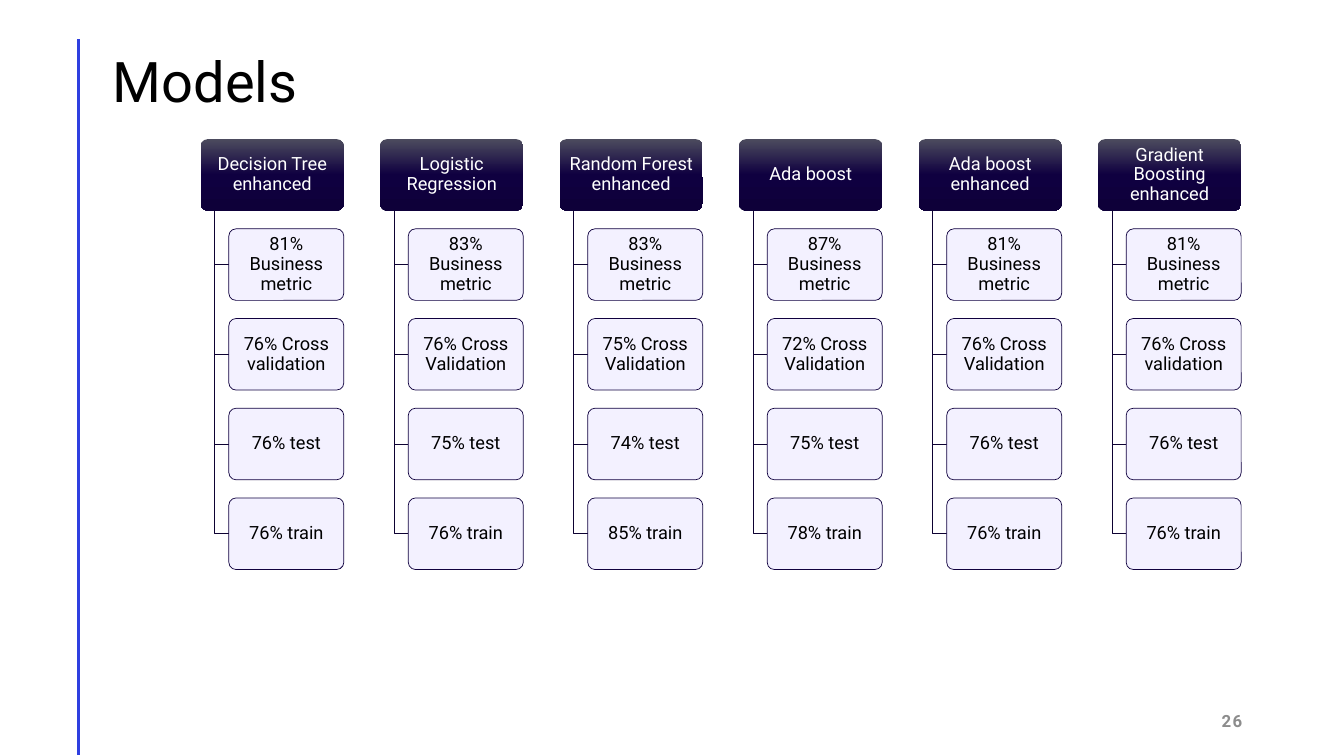
from copy import deepcopy
from lxml.etree import SubElement
from pptx import Presentation
from pptx.dml.color import RGBColor
from pptx.enum.shapes import MSO_CONNECTOR as Connector, MSO_SHAPE as Preset
from pptx.enum.text import MSO_ANCHOR as Anchor, PP_ALIGN as Align
from pptx.oxml.ns import qn
from pptx.util import Inches, Pt

TITLE = "Models"
PAGE_NUMBER = "26"
MODELS = [
    ("Decision Tree enhanced",
     ["81% Business metric", "76% Cross validation", "76% test", "76% train"]),
    ("Logistic Regression",
     ["83% Business metric", "76% Cross Validation", "75% test", "76% train"]),
    ("Random Forest enhanced",
     ["83% Business metric", "75% Cross Validation", "74% test", "85% train"]),
    ("Ada boost",
     ["87% Business metric", "72% Cross Validation", "75% test", "78% train"]),
    ("Ada boost enhanced",
     ["81% Business metric", "76% Cross Validation", "76% test", "76% train"]),
    ("Gradient Boosting enhanced",
     ["81% Business metric", "76% Cross validation", "76% test", "76% train"]),
]
HEADER_STOPS = [(0, "4C4B5E"), (0.5, "0F0040"), (1, "0E0039")]

LEFT, TOP = 1.99, 1.38
COLUMN_STEP, ROW_STEP = 1.78, 0.89
HEADER_WIDTH, BOX_HEIGHT = 1.42, 0.71
TRUNK_INSET, METRIC_INSET = 0.14, 0.28


def color(value):
    return RGBColor.from_string(value)


def write(shape, text, size=13, ink="000000", bold=False, align=Align.CENTER,
          anchor=Anchor.MIDDLE, leading=0.9, margins=(0.03, 0.02), tracking=0):
    frame = shape.text_frame
    frame.word_wrap = True
    frame.vertical_anchor = anchor
    frame.margin_left = frame.margin_right = Inches(margins[0])
    frame.margin_top = frame.margin_bottom = Inches(margins[1])
    para = frame.paragraphs[0]
    para.alignment = align
    para.line_spacing = leading
    span = para.add_run()
    span.text = text
    span.font.name = "Roboto"
    span.font.size = Pt(size)
    span.font.bold = bold
    span.font.color.rgb = color(ink)
    if tracking:
        span.font._element.set("spc", str(tracking * 100))


def add_text(page, text, left, top, width, height, **style):
    box = page.shapes.add_textbox(*map(Inches, (left, top, width, height)))
    write(box, text, margins=(0.1, 0.05), **style)


def add_box(page, left, top, width):
    box = page.shapes.add_shape(
        Preset.ROUNDED_RECTANGLE, *map(Inches, (left, top, width, BOX_HEIGHT)))
    box.adjustments[0] = 0.1
    box.shadow.inherit = False
    return box


def add_header(page, text, left):
    box = add_box(page, left, TOP, HEADER_WIDTH)
    box.line.fill.background()
    box.fill.gradient()
    box.fill.gradient_angle = 270
    stop_list = box._element.spPr.find(qn("a:gradFill")).find(qn("a:gsLst"))
    stop_list.append(deepcopy(stop_list[0]))
    for stop, (position, value) in zip(box.fill.gradient_stops, HEADER_STOPS):
        stop.position = position
        stop.color.rgb = color(value)
    write(box, text, ink="FFFFFF")


def add_metric(page, text, left, top):
    box = add_box(page, left, top, HEADER_WIDTH - METRIC_INSET)
    box.fill.solid()
    box.fill.fore_color.rgb = color("F2F0FF")
    fill = box._element.spPr.find(qn("a:solidFill"))
    SubElement(fill[0], qn("a:alpha"), val="90000")
    box.line.color.rgb = color("10013F")
    box.line.width = Pt(0.5)
    write(box, text)


def add_elbow(page, trunk, start, branch, end):
    outline = page.shapes.build_freeform(Inches(trunk), Inches(start))
    outline.add_line_segments(
        [(Inches(trunk), Inches(branch)), (Inches(end), Inches(branch))], close=False)
    elbow = outline.convert_to_shape()
    elbow.fill.background()
    elbow.line.color.rgb = color("0D0132")
    elbow.line.width = Pt(0.5)
    elbow.shadow.inherit = False


def add_rule(page):
    rule = page.shapes.add_connector(
        Connector.STRAIGHT, *map(Inches, (0.78, 0.39, 0.78, 7.49)))
    rule.line.color.rgb = color("2F3FE0")
    rule.line.width = Pt(2)
    SubElement(rule._element.spPr, qn("a:effectLst"))


def main():
    deck = Presentation()
    deck.slide_width, deck.slide_height = Inches(13.33), Inches(7.5)
    page = deck.slides.add_slide(deck.slide_layouts[6])
    add_rule(page)
    add_text(page, PAGE_NUMBER, 9.42, 6.95, 3, 0.4, size=12, ink="8C8C8C",
             bold=True, align=Align.RIGHT, leading=1, tracking=1)
    add_text(page, TITLE, 1.02, 0.49, 8.69, 1.29, size=40,
             align=Align.LEFT, anchor=Anchor.TOP)
    for column, (model, metrics) in enumerate(MODELS):
        left = LEFT + column * COLUMN_STEP
        add_header(page, model, left)
        for row, metric in enumerate(metrics, start=1):
            top = TOP + row * ROW_STEP
            add_elbow(page, left + TRUNK_INSET, TOP + BOX_HEIGHT,
                      top + BOX_HEIGHT / 2, left + METRIC_INSET)
            add_metric(page, metric, left + METRIC_INSET, top)
    deck.save("out.pptx")


if __name__ == "__main__":
    main()
